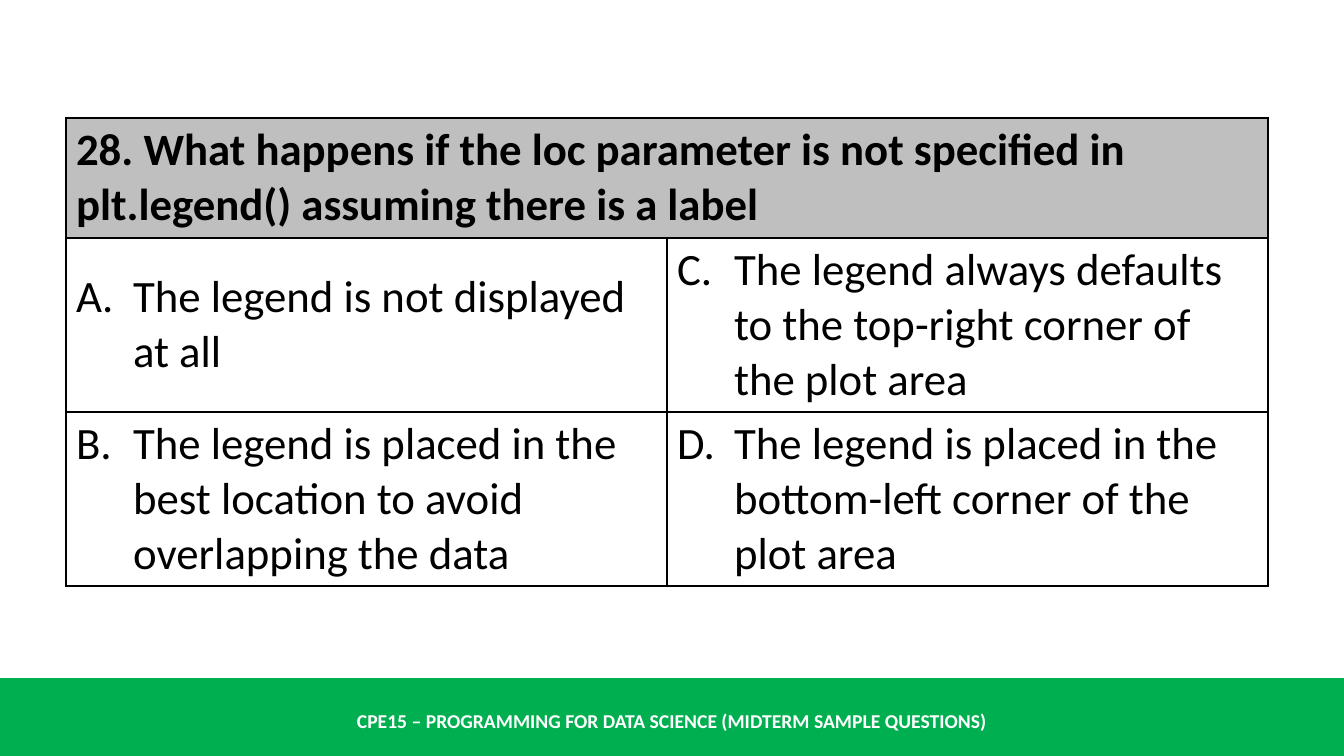
import pptx
import pptx.dml.color
import pptx.enum.shapes
import pptx.enum.text
import pptx.oxml.ns
import pptx.util
import lxml.etree

# Content
QUESTION = ("28. What happens if the loc parameter is not specified in "
            "plt.legend() assuming there is a label")
ANSWERS = [
    "The legend is not displayed at all",
    "The legend is placed in the best location to avoid overlapping the data",
    "The legend always defaults to the top-right corner of the plot area",
    "The legend is placed in the bottom-left corner of the plot area",
]
FOOTER = "CPE15 – PROGRAMMING FOR DATA SCIENCE (MIDTERM SAMPLE QUESTIONS)"

# Layout in px
SLIDE_WIDTH, SLIDE_HEIGHT = 1344, 756
TABLE_LEFT, TABLE_TOP = 66, 118
COLUMN_WIDTH = 601
ROW_HEIGHTS = [120, 174, 174]
ANSWER_INDENT = 57
BAND_TOP = 678
FOOTER_TOP, FOOTER_HEIGHT = 701, 40

FONT = "Calibri"
BLACK, WHITE, GREY, GREEN = "000000", "FFFFFF", "BFBFBF", "00B050"
MIDDLE = pptx.enum.text.MSO_ANCHOR.MIDDLE


def px(length):
    return pptx.util.Emu(round(length * 914400 / 100.8))


def color(code):
    return pptx.dml.color.RGBColor.from_string(code)


def add_element(parent, tag, **attributes):
    return lxml.etree.SubElement(parent, pptx.oxml.ns.qn(tag), attributes)


def write(frame, text, size=32, ink=BLACK, bold=False, align="LEFT", number=None):
    para = frame.paragraphs[0]
    para.alignment = pptx.enum.text.PP_ALIGN[align]
    if number:
        properties = para._p.get_or_add_pPr()
        properties.set("marL", str(px(ANSWER_INDENT)))
        properties.set("indent", str(-px(ANSWER_INDENT)))
        add_element(properties, "a:buFont", typeface=FONT)
        add_element(properties, "a:buAutoNum", type="alphaUcPeriod", startAt=str(number))
    span = para.add_run()
    span.text = text
    span.font.name = FONT
    span.font.size = pptx.util.Pt(size)
    span.font.bold = bold
    span.font.color.rgb = color(ink)


def add_borders(cell):
    properties = cell._tc.get_or_add_tcPr()
    for side in ("a:lnL", "a:lnR", "a:lnT", "a:lnB"):
        line = add_element(properties, side, w=str(pptx.util.Pt(1)))
        add_element(add_element(line, "a:solidFill"), "a:srgbClr", val=BLACK)


deck = pptx.Presentation()
deck.slide_width, deck.slide_height = px(SLIDE_WIDTH), px(SLIDE_HEIGHT)
page = deck.slides.add_slide(deck.slide_layouts[6])

# Footer band
band = page.shapes.add_shape(
    pptx.enum.shapes.MSO_SHAPE.RECTANGLE,
    0, px(BAND_TOP), px(SLIDE_WIDTH), px(SLIDE_HEIGHT - BAND_TOP))
band.shadow.inherit = False
band.fill.solid()
band.fill.fore_color.rgb = color(GREEN)
band.line.fill.background()

# Footer text
box = page.shapes.add_textbox(0, px(FOOTER_TOP), px(SLIDE_WIDTH), px(FOOTER_HEIGHT))
box.text_frame.word_wrap = True
box.text_frame.vertical_anchor = MIDDLE
write(box.text_frame, FOOTER, size=14, ink=WHITE, bold=True, align="CENTER")

# Question table
table = page.shapes.add_table(
    3, 2, px(TABLE_LEFT), px(TABLE_TOP),
    px(2 * COLUMN_WIDTH), px(sum(ROW_HEIGHTS))).table
table.first_row = table.horz_banding = False
for column in table.columns:
    column.width = px(COLUMN_WIDTH)
for row, height in zip(table.rows, ROW_HEIGHTS):
    row.height = px(height)
for cell in table.iter_cells():
    cell.vertical_anchor = MIDDLE
    add_borders(cell)
    cell.fill.background()

heading = table.cell(0, 0)
heading.merge(table.cell(0, 1))
heading.fill.solid()
heading.fill.fore_color.rgb = color(GREY)
write(heading.text_frame, QUESTION, bold=True)

# Answers run down each column in turn
for index, answer in enumerate(ANSWERS):
    column, row = divmod(index, 2)
    write(table.cell(row + 1, column).text_frame, answer, number=index + 1)

deck.save("out.pptx")
